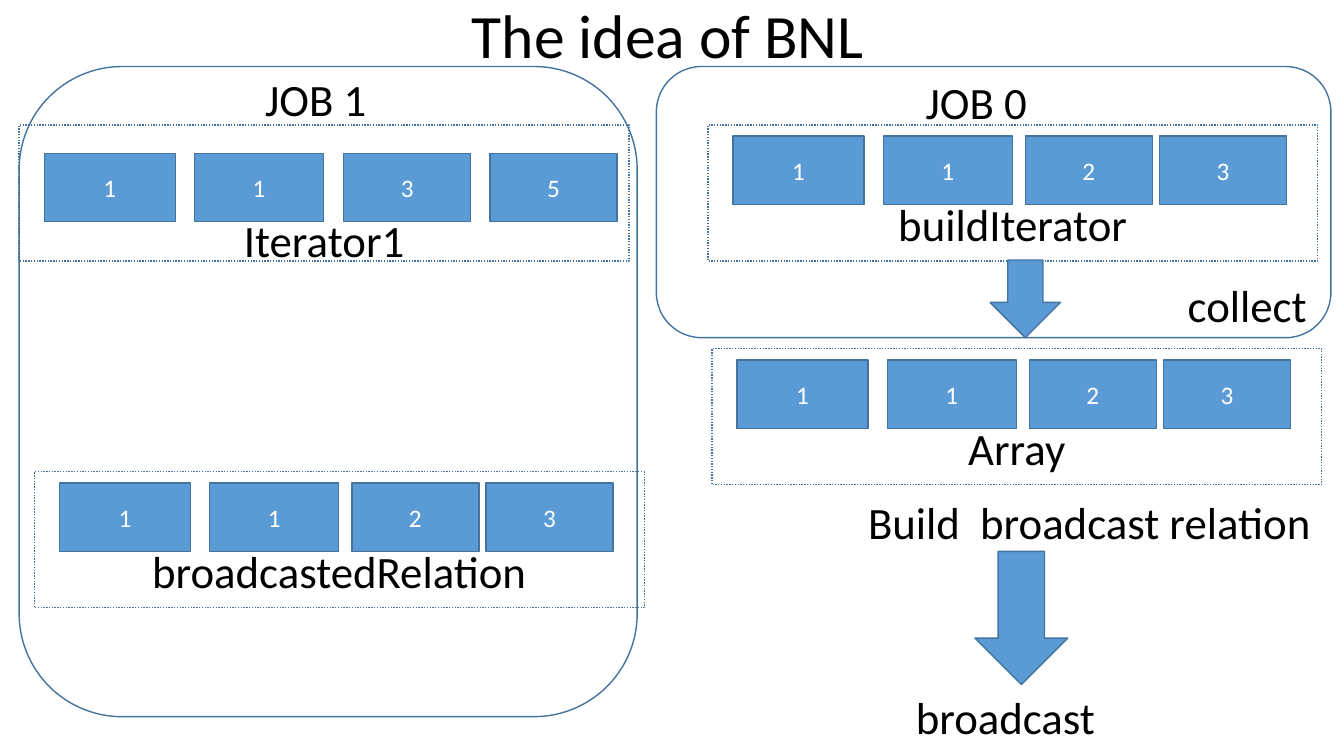
"""Draw the slide explaining the idea of a broadcast nested loop (BNL) join."""
from dataclasses import dataclass

from pptx import Presentation
from pptx.dml.color import RGBColor
from pptx.enum.dml import MSO_LINE
from pptx.enum.shapes import MSO_SHAPE
from pptx.enum.text import MSO_ANCHOR, PP_ALIGN
from pptx.shapes.autoshape import Shape
from pptx.slide import Slide
from pptx.util import Inches, Pt

FONT = "Calibri"
BLUE, EDGE, WHITE, BLACK = "5B9BD5", "43739E", "FFFFFF", "000000"
CELL_WIDTHS = (1.3, 1.28, 1.26, 1.26)
CELL_HEIGHT = 0.68
FRAME_WIDTH, FRAME_HEIGHT = 6.05, 1.35
LABEL_HEIGHT = 0.64


@dataclass(frozen=True)
class Box:
    left: float
    top: float
    width: float
    height: float


@dataclass(frozen=True)
class Relation:
    label: str
    left: float
    top: float
    values: tuple[int, ...]
    cell_lefts: tuple[float, ...] = (0.25, 1.74, 3.15, 4.48)
    cell_top: float = 0.11
    label_top: float = 0.66


@dataclass(frozen=True)
class Job:
    name: str
    box: Box
    label_left: float
    label_top: float


@dataclass(frozen=True)
class Step:
    label: str
    left: float
    top: float
    width: float


RELATIONS = (
    Relation("Iterator1", 0.19, 1.24, (1, 1, 3, 5), (0.25, 1.74, 3.22, 4.67), 0.28, 0.82),
    Relation("buildIterator", 7.02, 1.24, (1, 1, 2, 3)),
    Relation("Array", 7.06, 3.46, (1, 1, 2, 3)),
    Relation("broadcastedRelation", 0.34, 4.68, (1, 1, 2, 3)),
)
JOBS = (
    Job("JOB 0", Box(6.51, 0.66, 6.69, 2.69), 7.02, 0.69),
    Job("JOB 1", Box(0.19, 0.66, 6.13, 6.45), 0.47, 0.66),
)
STEPS = (
    Step("collect", 8.86, 2.71, 4.2),
    Step("Build  broadcast relation", 7.61, 4.86, 5.49),
    Step("broadcast", 5.47, 6.79, 5.49),
)
ARROWS = (Box(9.82, 2.58, 0.7, 0.77), Box(9.67, 5.47, 0.92, 1.32))


def color(value: str) -> RGBColor:
    return RGBColor.from_string(value)


def inches(box: Box) -> tuple[Inches, ...]:
    return tuple(Inches(v) for v in (box.left, box.top, box.width, box.height))


def add_run(p, text: str, size: float, font_color: str) -> None:
    r = p.add_run()
    r.text = text
    r.font.name = FONT
    r.font.size = Pt(size)
    r.font.color.rgb = color(font_color)


def add_outline(s: Slide, kind: MSO_SHAPE, box: Box, fill: str | None = None) -> Shape:
    sp = s.shapes.add_shape(kind, *inches(box))
    sp.shadow.inherit = False
    if fill:
        sp.fill.solid()
        sp.fill.fore_color.rgb = color(fill)
    else:
        sp.fill.background()
    sp.line.color.rgb = color(EDGE)
    sp.line.width = Pt(1)
    return sp


def add_text(s: Slide, box: Box, runs: tuple[tuple[str, float], ...],
             align: PP_ALIGN = PP_ALIGN.CENTER, spacing: float = 1.0) -> None:
    tf = s.shapes.add_textbox(*inches(box)).text_frame
    tf.word_wrap = True
    p = tf.paragraphs[0]
    p.alignment = align
    p.line_spacing = spacing
    for text, size in runs:
        add_run(p, text, size, BLACK)


def add_cell(s: Slide, box: Box, value: int) -> None:
    tf = add_outline(s, MSO_SHAPE.RECTANGLE, box, BLUE).text_frame
    tf.vertical_anchor = MSO_ANCHOR.MIDDLE
    p = tf.paragraphs[0]
    p.alignment = PP_ALIGN.CENTER
    add_run(p, str(value), 18, WHITE)


def add_relation(s: Slide, rel: Relation) -> None:
    frame = Box(rel.left, rel.top, FRAME_WIDTH, FRAME_HEIGHT)
    sp = add_outline(s, MSO_SHAPE.RECTANGLE, frame)
    sp.line.dash_style = MSO_LINE.ROUND_DOT
    for value, left, width in zip(rel.values, rel.cell_lefts, CELL_WIDTHS):
        add_cell(s, Box(rel.left + left, rel.top + rel.cell_top, width, CELL_HEIGHT), value)
    label = Box(rel.left, rel.top + rel.label_top, FRAME_WIDTH, LABEL_HEIGHT)
    add_text(s, label, ((rel.label, 32),))


def add_job(s: Slide, job: Job) -> None:
    add_outline(s, MSO_SHAPE.ROUNDED_RECTANGLE, job.box)
    label = Box(job.label_left, job.label_top, 5.27, LABEL_HEIGHT)
    add_text(s, label, ((" ", 18), (job.name, 32)))


def main() -> None:
    prs = Presentation()
    prs.slide_width, prs.slide_height = Inches(13.33), Inches(7.5)
    s = prs.slides.add_slide(prs.slide_layouts[6])
    add_text(s, Box(-0.08, 0, 13.41, 1.91), (("The idea of BNL", 44),), spacing=0.9)
    for rel in RELATIONS:
        add_relation(s, rel)
    for arrow in ARROWS:
        add_outline(s, MSO_SHAPE.DOWN_ARROW, arrow, BLUE)
    for step in STEPS:
        box = Box(step.left, step.top, step.width, LABEL_HEIGHT)
        add_text(s, box, ((step.label, 32),), PP_ALIGN.RIGHT)
    for job in JOBS:
        add_job(s, job)
    prs.save("out.pptx")


if __name__ == "__main__":
    main()
